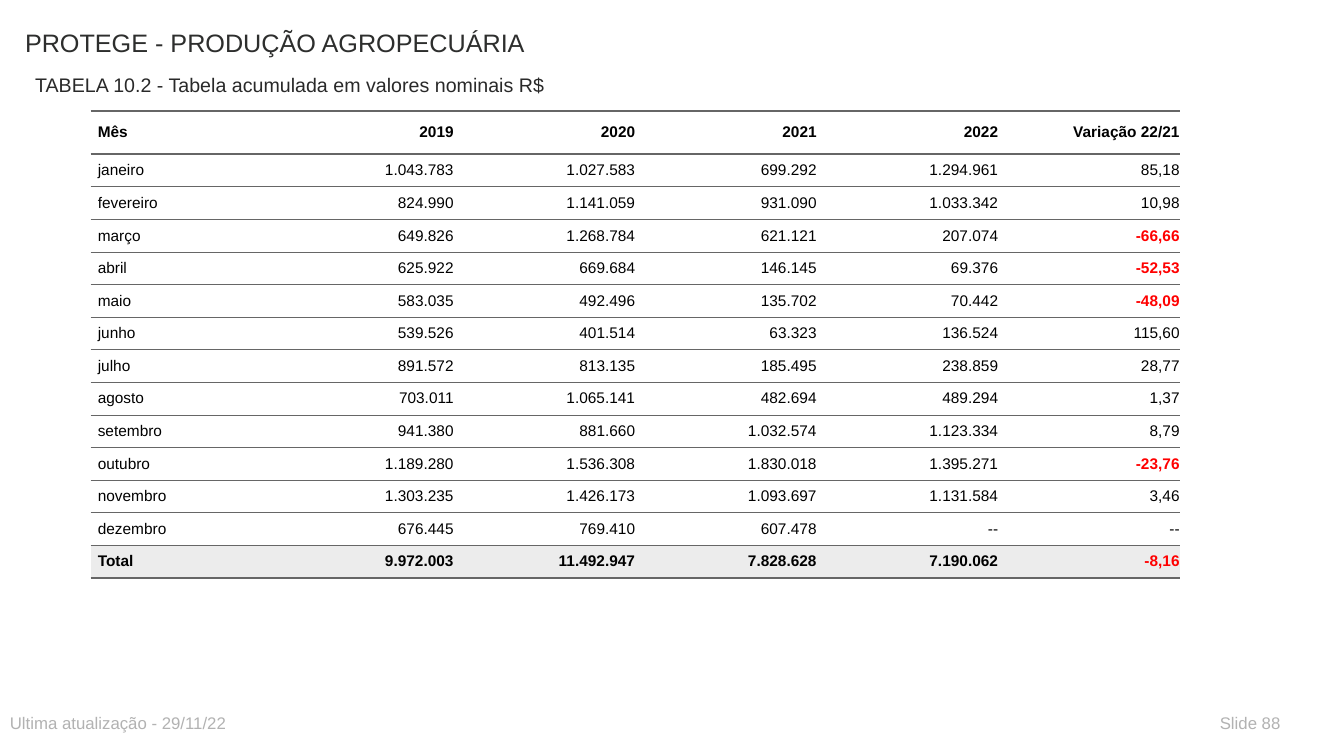
from lxml import etree
from pptx import Presentation
from pptx.dml.color import RGBColor
from pptx.enum.text import MSO_ANCHOR, PP_ALIGN
from pptx.oxml.ns import qn
from pptx.util import Pt

MIDDLE = MSO_ANCHOR.MIDDLE
LEFT, RIGHT = PP_ALIGN.LEFT, PP_ALIGN.RIGHT
EMU_PER_PX = 9144
FONT = "Arial"
BLACK, WHITE, RED = "000000", "FFFFFF", "FF0000"
RULE, TOTAL_FILL, FOOTER = "666666", "ECECEC", "B2B2B2"
THICK, THIN = 2, 0.5
COLUMN_WIDTH, HEADER_HEIGHT, ROW_HEIGHT = 180, 43, 31
PADDING = 7

ROWS = [
    ("Mês", "2019", "2020", "2021", "2022", "Variação 22/21"),
    ("janeiro", "1.043.783", "1.027.583", "699.292", "1.294.961", "85,18"),
    ("fevereiro", "824.990", "1.141.059", "931.090", "1.033.342", "10,98"),
    ("março", "649.826", "1.268.784", "621.121", "207.074", "-66,66"),
    ("abril", "625.922", "669.684", "146.145", "69.376", "-52,53"),
    ("maio", "583.035", "492.496", "135.702", "70.442", "-48,09"),
    ("junho", "539.526", "401.514", "63.323", "136.524", "115,60"),
    ("julho", "891.572", "813.135", "185.495", "238.859", "28,77"),
    ("agosto", "703.011", "1.065.141", "482.694", "489.294", "1,37"),
    ("setembro", "941.380", "881.660", "1.032.574", "1.123.334", "8,79"),
    ("outubro", "1.189.280", "1.536.308", "1.830.018", "1.395.271", "-23,76"),
    ("novembro", "1.303.235", "1.426.173", "1.093.697", "1.131.584", "3,46"),
    ("dezembro", "676.445", "769.410", "607.478", "--", "--"),
    ("Total", "9.972.003", "11.492.947", "7.828.628", "7.190.062", "-8,16"),
]


def px(length):
    """Turn px, at 100 to the inch, into EMU."""
    return length * EMU_PER_PX


def color(value):
    """Turn a hex string into a colour."""
    return RGBColor.from_string(value)


def style_font(paragraph, size, value, bold=False):
    """Set the font of a whole paragraph."""
    font = paragraph.font
    font.name, font.size, font.bold = FONT, Pt(size), bold
    font.color.rgb = color(value)


def add_text(page, text, left, top, width, height, size, value):
    """Add a one-line text box."""
    box = page.shapes.add_textbox(px(left), px(top), px(width), px(height))
    frame = box.text_frame
    frame.word_wrap = True
    frame.margin_top = px(PADDING)
    paragraph = frame.paragraphs[0]
    paragraph.text = text
    style_font(paragraph, size, value)


def set_borders(cell, top, bottom):
    """Rule a cell above and below, leaving its sides open."""
    properties = cell._tc.get_or_add_tcPr()
    widths = {"a:lnL": 0, "a:lnR": 0, "a:lnT": top, "a:lnB": bottom}
    for position, (tag, width) in enumerate(widths.items()):
        line = etree.Element(qn(tag), w=str(int(Pt(width))))
        if width:
            fill = etree.SubElement(line, qn("a:solidFill"))
            etree.SubElement(fill, qn("a:srgbClr"), val=RULE)
        else:
            etree.SubElement(line, qn("a:noFill"))
        properties.insert(position, line)


def fill_cell(cell, text, align, bold, background):
    """Write one table cell, with falls in bold red."""
    cell.fill.solid()
    cell.fill.fore_color.rgb = color(background)
    cell.vertical_anchor = MIDDLE
    cell.margin_left = px(PADDING)
    cell.margin_right = 0
    cell.margin_top = cell.margin_bottom = px(PADDING)
    paragraph = cell.text_frame.paragraphs[0]
    paragraph.text = text
    paragraph.alignment = align
    falls = text.startswith("-") and text != "--"
    style_font(paragraph, 11, RED if falls else BLACK, bold or falls)


def add_value_table(page, left, top):
    """Add the monthly table with its header and total rows."""
    last = len(ROWS) - 1
    columns = len(ROWS[0])
    height = HEADER_HEIGHT + last * ROW_HEIGHT
    table = page.shapes.add_table(len(ROWS), columns, px(left), px(top),
                                  px(columns * COLUMN_WIDTH), px(height)).table
    table.first_row = table.horz_banding = False
    for column in table.columns:
        column.width = px(COLUMN_WIDTH)
    for row, values in enumerate(ROWS):
        table.rows[row].height = px(ROW_HEIGHT if row else HEADER_HEIGHT)
        background = TOTAL_FILL if row == last else WHITE
        above = THICK if row <= 1 else THIN
        below = THICK if row in (0, last) else THIN
        for column, text in enumerate(values):
            cell = table.cell(row, column)
            fill_cell(cell, text, RIGHT if column else LEFT, row in (0, last), background)
            set_borders(cell, above, below)


def main():
    """Build and save the slide."""
    deck = Presentation()
    deck.slide_width, deck.slide_height = px(1333), px(750)
    page = deck.slides.add_slide(deck.slide_layouts[6])
    add_text(page, "PROTEGE - PRODUÇÃO AGROPECUÁRIA", 15, 20, 800, 59, 18, "2D2E2D")
    add_text(page, "TABELA 10.2 - Tabela acumulada em valores nominais R$",
             25, 65, 650, 30, 14, "292929")
    add_value_table(page, 90, 110)
    add_text(page, "Ultima atualização - 29/11/22", 0, 700, 650, 30, 12, FOOTER)
    add_text(page, "Slide 88", 1200, 700, 90, 30, 12, FOOTER)
    deck.save("out.pptx")


if __name__ == "__main__":
    main()
